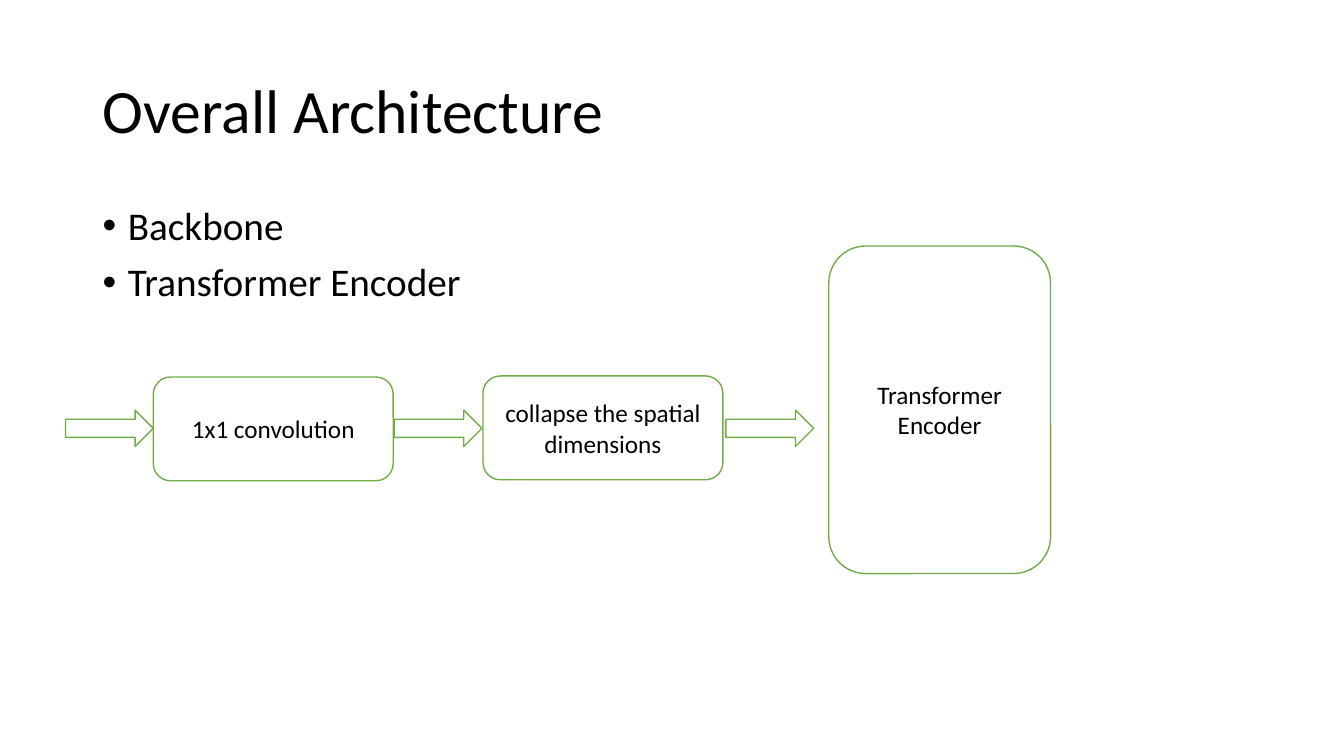
from lxml.etree import SubElement
from pptx import Presentation
from pptx.dml.color import RGBColor
from pptx.enum.shapes import MSO_SHAPE
from pptx.enum.text import MSO_ANCHOR, MSO_AUTO_SIZE, PP_ALIGN
from pptx.oxml.ns import qn
from pptx.util import Pt

PX = 9144
GREEN, WHITE, BLACK = "70AD47", "FFFFFF", "000000"


def px(*sizes):
    """Turn px lengths, 100 to the inch, into EMU."""
    return [size * PX for size in sizes]


def color(code):
    """Turn a hex string into a colour."""
    return RGBColor.from_string(code)


def bullet(para):
    """Give a paragraph a hanging round bullet."""
    props = para._p.get_or_add_pPr()
    props.set("marL", str(25 * PX))
    props.set("indent", str(-25 * PX))
    SubElement(props, qn("a:buFont"), typeface="Arial")
    SubElement(props, qn("a:buChar"), char="•")


def write(shape, *lines, size=18, align=PP_ALIGN.LEFT,
          anchor=MSO_ANCHOR.MIDDLE, space=1.0, gap=0, dots=False):
    """Fill a shape with one paragraph per line of text."""
    frame = shape.text_frame
    frame.word_wrap = True
    frame.auto_size = MSO_AUTO_SIZE.NONE
    frame.vertical_anchor = anchor
    for i, line in enumerate(lines):
        para = frame.add_paragraph() if i else frame.paragraphs[0]
        if dots:
            bullet(para)
        para.alignment = align
        para.line_spacing = space
        para.space_before = Pt(gap if i else 0)
        run = para.add_run()
        run.text = line
        run.font.name = "Calibri"
        run.font.size = Pt(size)
        run.font.color.rgb = color(BLACK)


def outline(slide, kind, box):
    """Add a white shape with a thin green line."""
    shape = slide.shapes.add_shape(kind, *px(*box))
    shape.shadow.inherit = False
    shape.fill.solid()
    shape.fill.fore_color.rgb = color(WHITE)
    shape.line.color.rgb = color(GREEN)
    shape.line.width = Pt(1)
    return shape


def header(slide, box):
    """Place the slide title in its box."""
    title = slide.shapes.title
    title.left, title.top, title.width, title.height = px(*box)
    write(title, "Overall Architecture", size=44, space=0.9)


def topics(slide, box):
    """Place the bulleted topics."""
    body = slide.shapes.add_textbox(*px(*box))
    write(body, "Backbone", "Transformer Encoder", size=28,
          anchor=MSO_ANCHOR.TOP, space=0.9, gap=10, dots=True)


def flow(slide, box):
    """Draw the chain of steps and arrows inside the box."""
    left, top, width, height = box
    steps = [
        ("1x1 convolution", 87, 130, 238, 103),
        ("collapse the spatial dimensions", 414, 129, 238, 103),
        ("Transformer Encoder", width - 220, 0, 220, height),
    ]
    for text, x, y, wide, high in steps:
        step = outline(slide, MSO_SHAPE.ROUNDED_RECTANGLE,
                       (left + x, top + y, wide, high))
        write(step, text, align=PP_ALIGN.CENTER)
    for x in (0, 326, 655):
        outline(slide, MSO_SHAPE.RIGHT_ARROW, (left + x, top + 163, 87, 36))


def main():
    """Build and save the slide."""
    deck = Presentation()
    deck.slide_width, deck.slide_height = px(1333, 750)
    slide = deck.slides.add_slide(deck.slide_layouts[5])
    header(slide, (92, 40, 1150, 145))
    topics(slide, (92, 200, 1150, 476))
    flow(slide, (65, 244, 977, 325))
    deck.save("out.pptx")


if __name__ == "__main__":
    main()
